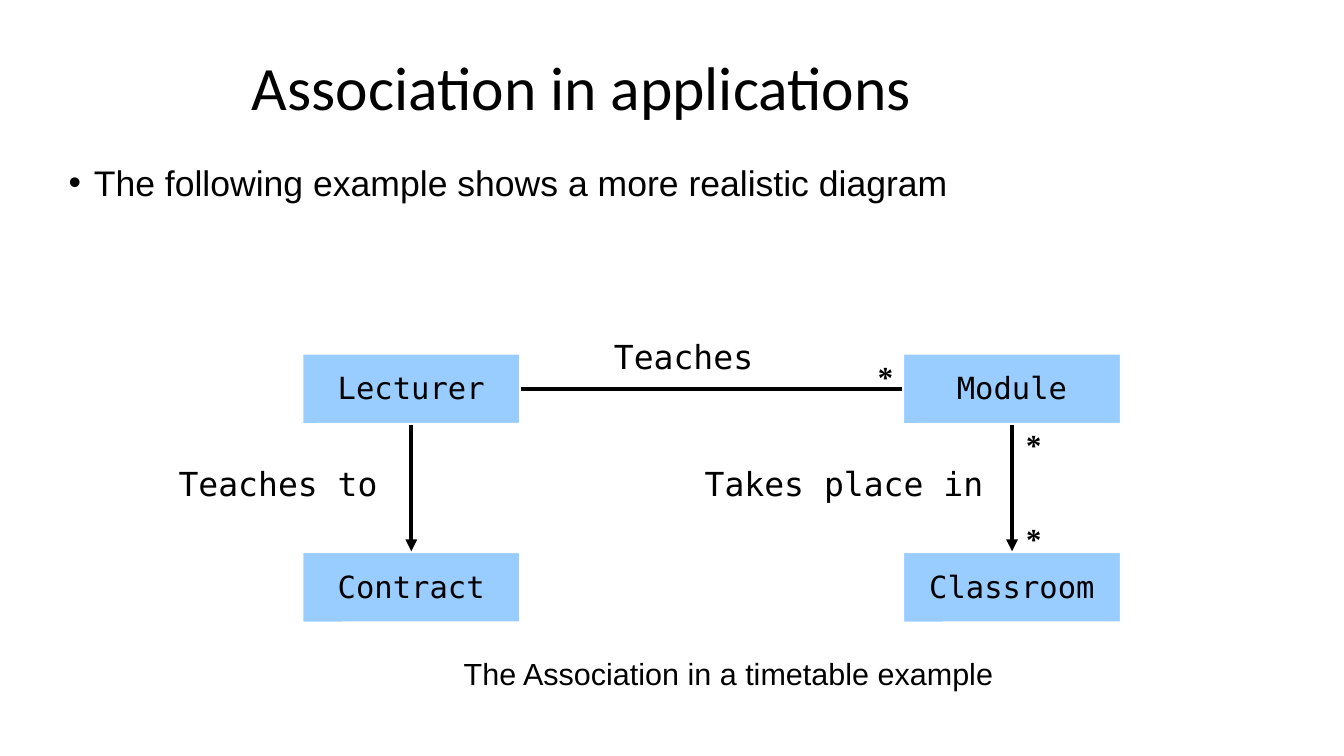
"""Build a slide with a timetable association diagram."""
from dataclasses import dataclass

from lxml import etree
from pptx import Presentation
from pptx.dml.color import RGBColor
from pptx.enum.shapes import MSO_CONNECTOR, MSO_SHAPE
from pptx.enum.text import MSO_ANCHOR, MSO_AUTO_SIZE, PP_ALIGN
from pptx.oxml.ns import qn
from pptx.util import Pt

STRAIGHT = MSO_CONNECTOR.STRAIGHT
ROUNDED = MSO_SHAPE.ROUNDED_RECTANGLE
MIDDLE, TOP = MSO_ANCHOR.MIDDLE, MSO_ANCHOR.TOP
NO_FIT, GROW = MSO_AUTO_SIZE.NONE, MSO_AUTO_SIZE.SHAPE_TO_FIT_TEXT
LEFT, CENTER = PP_ALIGN.LEFT, PP_ALIGN.CENTER


@dataclass(frozen=True)
class TextStyle:
    """Typeface, size and line spacing of one kind of text."""
    face: str
    size: float
    spacing: float
    bold: bool = False


@dataclass(frozen=True)
class Theme:
    """Colours, line width and text styles of the slide."""
    ink: RGBColor = RGBColor(0, 0, 0)
    paper: RGBColor = RGBColor(255, 255, 255)
    box: RGBColor = RGBColor(0x99, 0xCC, 0xFF)
    stroke: float = 2.83
    title: TextStyle = TextStyle("Calibri", 44, 0.9)
    bullet: TextStyle = TextStyle("Arial", 25.4, 0.9)
    entity: TextStyle = TextStyle("DejaVu Sans Mono", 21.8, 0.97)
    relation: TextStyle = TextStyle("DejaVu Sans Mono", 23.6, 0.97)
    caption: TextStyle = TextStyle("Arial", 21.8, 1.04)
    multiplicity: TextStyle = TextStyle("Times New Roman", 21.8, 1.02, True)


THEME = Theme()
BOX_WIDTH, BOX_HEIGHT = 157, 51.6
LECTURER_X, MODULE_X = 215.3, 644.4
UPPER_Y, LOWER_Y = 252, 393.8


def write(frame, text, style, align=LEFT):
    """Fill a text frame with one styled paragraph and return it."""
    frame.text = text
    paragraph = frame.paragraphs[0]
    paragraph.alignment = align
    paragraph.line_spacing = style.spacing
    paragraph.font.name = style.face
    paragraph.font.size = Pt(style.size)
    paragraph.font.bold = style.bold
    paragraph.font.color.rgb = THEME.ink
    return paragraph


def set_insets(frame, side, edge):
    """Set the horizontal and vertical margins of a text frame."""
    frame.margin_left = frame.margin_right = Pt(side)
    frame.margin_top = frame.margin_bottom = Pt(edge)


def fill_placeholder(holder, bounds, text, style, anchor):
    """Move a template placeholder and write its text."""
    holder.left, holder.top, holder.width, holder.height = map(Pt, bounds)
    frame = holder.text_frame
    frame.auto_size = NO_FIT
    frame.vertical_anchor = anchor
    paragraph = write(frame, text, style)
    paragraph.space_after = Pt(10.3)
    return paragraph


def add_entity(slide, name, x, y):
    """Add one class box."""
    entity = slide.shapes.add_shape(
        ROUNDED, Pt(x), Pt(y), Pt(BOX_WIDTH), Pt(BOX_HEIGHT))
    entity.adjustments[0] = 0.004
    entity.shadow.inherit = False
    entity.fill.solid()
    entity.fill.fore_color.rgb = THEME.box
    entity.line.color.rgb = THEME.paper
    entity.line.width = Pt(THEME.stroke)
    frame = entity.text_frame
    frame.vertical_anchor = MIDDLE
    set_insets(frame, 7, 4.3)
    write(frame, name, THEME.entity, CENTER)


def add_label(slide, text, bounds, style):
    """Add an unwrapped text label."""
    label = slide.shapes.add_textbox(*map(Pt, bounds))
    frame = label.text_frame
    frame.word_wrap = False
    frame.auto_size = GROW
    set_insets(frame, 6.5, 3)
    write(frame, text, style)


def add_association(slide, start, end, arrow=False):
    """Connect two points, with an arrowhead at the end if asked."""
    link = slide.shapes.add_connector(STRAIGHT, *map(Pt, start + end))
    link.line.color.rgb = THEME.ink
    link.line.width = Pt(THEME.stroke)
    if arrow:
        outline = link.line._get_or_add_ln()
        etree.SubElement(outline, qn("a:tailEnd"), type="triangle")
    etree.SubElement(link._element.spPr, qn("a:effectLst"))


def main():
    """Build and save the slide."""
    deck = Presentation()
    deck.slide_width, deck.slide_height = Pt(960), Pt(540)
    slide = deck.slides.add_slide(deck.slide_layouts[1])

    fill_placeholder(slide.shapes.title, (172.8, 18, 611.3, 93.6),
                     "Association in applications", THEME.title, MIDDLE)
    bullet = fill_placeholder(
        slide.placeholders[1], (41.8, 114.5, 881.3, 142.6),
        "The following example shows a more realistic diagram",
        THEME.bullet, TOP)
    bullet.space_before = Pt(10)
    indents = bullet._p.get_or_add_pPr()
    indents.set("marL", str(Pt(18)))
    indents.set("indent", str(Pt(-18)))

    for name, x, y in (("Lecturer", LECTURER_X, UPPER_Y),
                       ("Module", MODULE_X, UPPER_Y),
                       ("Contract", LECTURER_X, LOWER_Y),
                       ("Classroom", MODULE_X, LOWER_Y)):
        add_entity(slide, name, x, y)

    for x in (LECTURER_X, MODULE_X):
        center = x + BOX_WIDTH / 2
        add_association(slide, (center, UPPER_Y + BOX_HEIGHT),
                        (center, LOWER_Y), arrow=True)
    middle = UPPER_Y + BOX_HEIGHT / 2
    add_association(slide, (LECTURER_X + BOX_WIDTH, middle),
                    (MODULE_X, middle))

    for text, x, y, width in (("Teaches", 432, 239, 130.3),
                              ("Teaches to", 121, 329.4, 157),
                              ("Takes place in", 496.8, 329.4, 214)):
        add_label(slide, text, (x, y, width, 34.5), THEME.relation)
    for x, y in ((620.6, 252), (726.5, 301), (726.5, 368)):
        add_label(slide, "*", (x, y, 23.8, 31.7), THEME.multiplicity)
    add_label(slide, "The Association in a timetable example",
              (324.7, 463.7, 394.6, 32.4), THEME.caption)

    deck.save("out.pptx")


if __name__ == "__main__":
    main()
